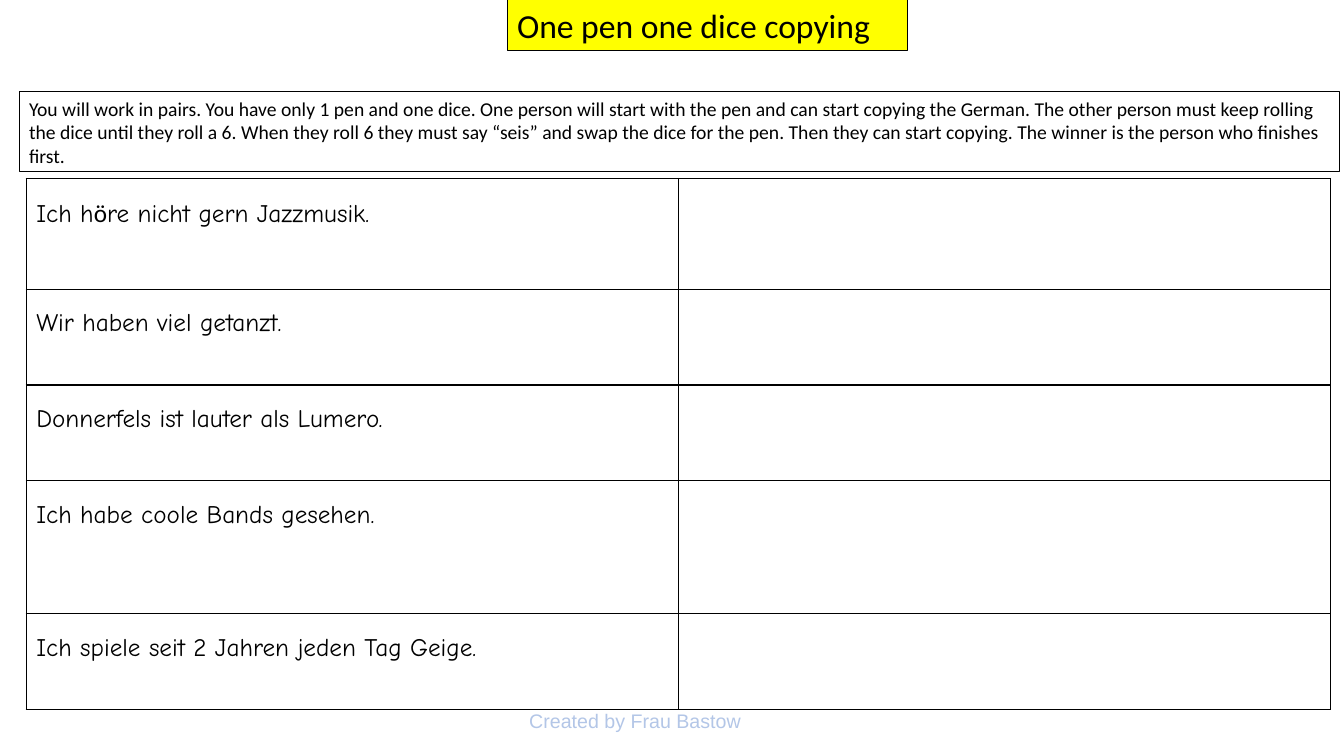
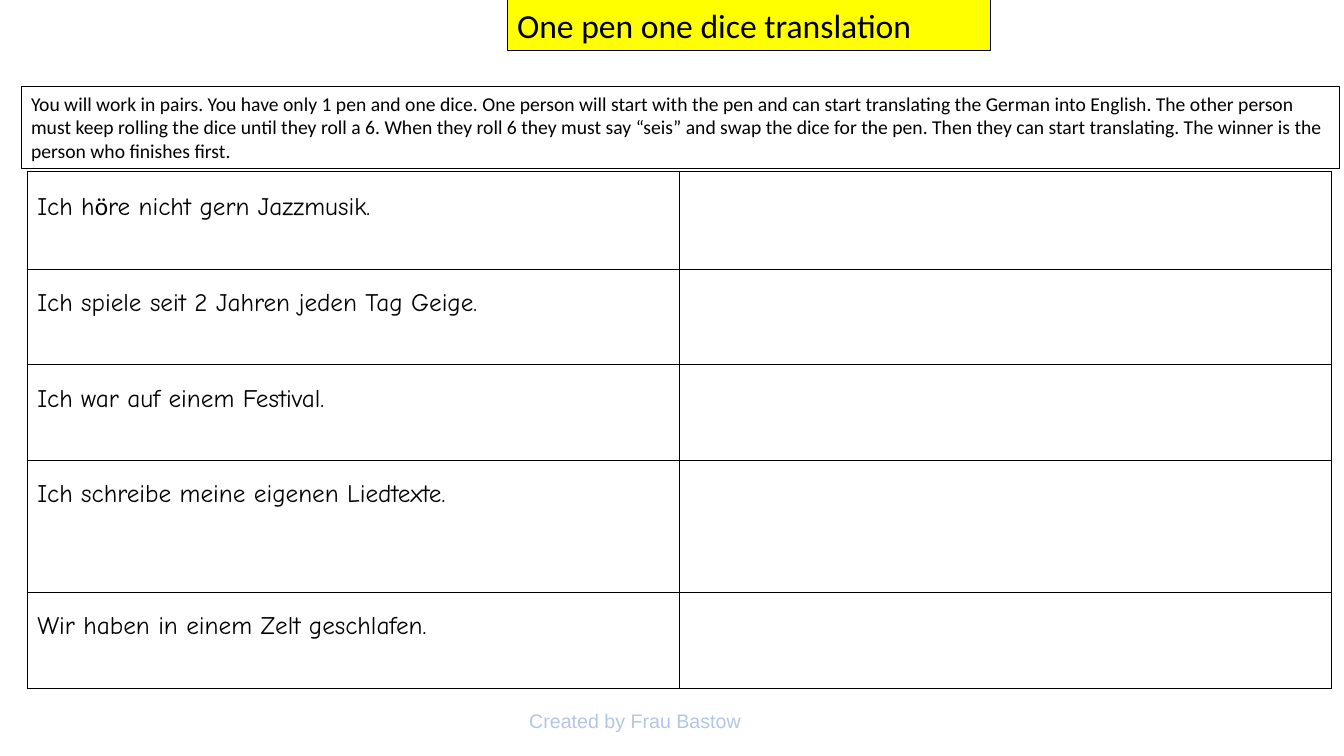
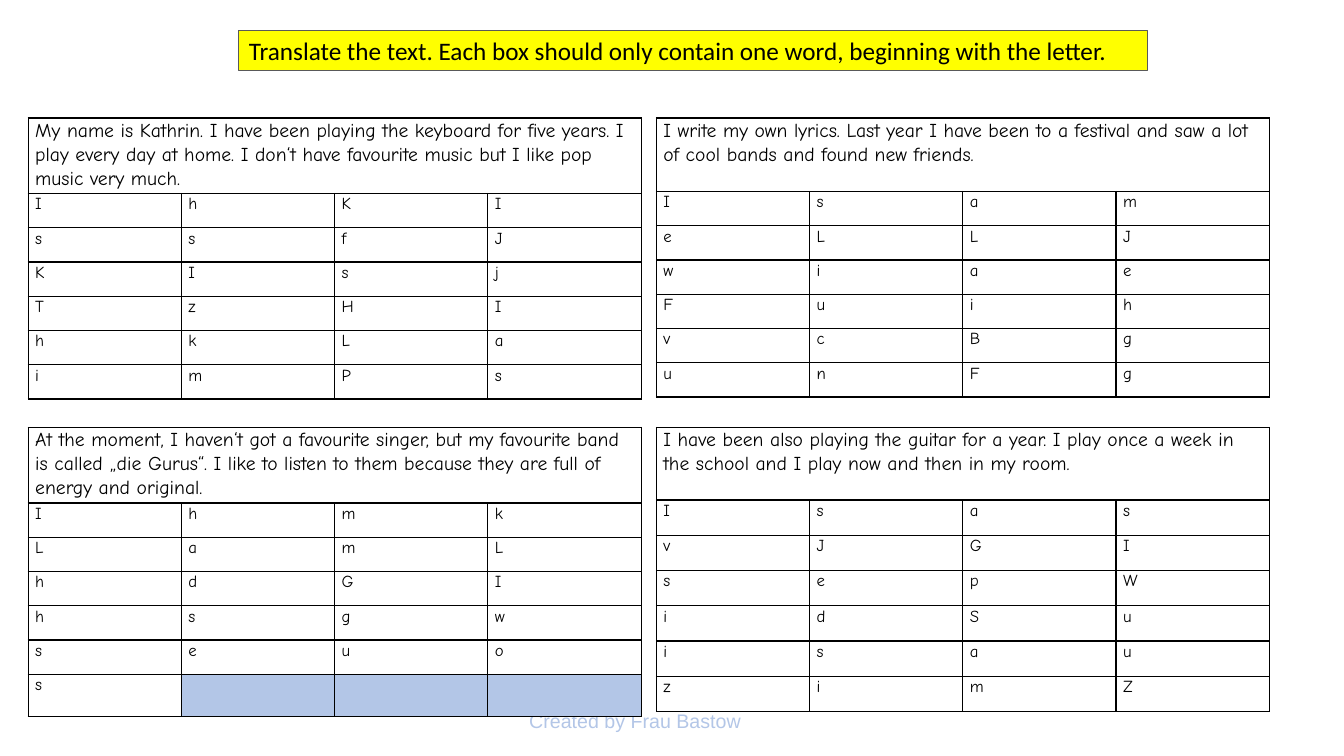
from dataclasses import dataclass

from lxml.etree import fromstring
from pptx import Presentation
from pptx.dml.color import RGBColor
from pptx.enum.shapes import MSO_SHAPE as Shape
from pptx.enum.text import MSO_ANCHOR as Anchor, PP_ALIGN as Align
from pptx.util import Inches, Pt

BLACK, WHITE, YELLOW = "000000", "FFFFFF", "FFFF00"
GREY, BLUE = "595959", "B3C6E7"
PLAIN, HAND = "Calibri", "Comic Neue"
DRAW = "http://schemas.openxmlformats.org/drawingml/2006/main"


@dataclass
class Area:
    left: float
    top: float
    width: float
    height: float

    def inches(self) -> list:
        return [Inches(n) for n in (self.left, self.top, self.width, self.height)]


@dataclass
class Sheet:
    title: str
    width: float
    rules: str
    box: Area
    left: float
    top: float
    rows: list[float]
    lines: list[str]


@dataclass
class Puzzle:
    text: str
    rows: list[float]
    clues: str  # one word per row, one letter per cell


# Shared helpers

def rgb(code: str) -> RGBColor:
    return RGBColor.from_string(code)


def put(frame, text: str, size: float = 18, font: str = PLAIN,
        color: str = BLACK, space: float = 1.0) -> None:
    """Write one paragraph; parts between bars use the plain font."""
    frame.word_wrap = True
    para = frame.paragraphs[0]
    para.alignment = Align.LEFT
    para.line_spacing = space
    for i, part in enumerate(text.split("|")):
        run = para.add_run()
        run.text = part
        run.font.size = Pt(size)
        run.font.name = PLAIN if i % 2 else font
        run.font.color.rgb = rgb(color)


def add_box(slide, area: Area, text: str, size: float,
            fill: str = "", line: str = BLACK) -> None:
    box = slide.shapes.add_shape(Shape.RECTANGLE, *area.inches())
    box.shadow.inherit = False
    if fill:
        box.fill.solid()
        box.fill.fore_color.rgb = rgb(fill)
    else:
        box.fill.background()
    box.line.color.rgb = rgb(line)
    box.line.width = Pt(0.75)
    box.text_frame.vertical_anchor = Anchor.TOP
    put(box.text_frame, text, size)


def add_grid(slide, left: float, top: float, cols: list[float],
             rows: list[float], side: float, edge: float):
    area = Area(left, top, sum(cols), sum(rows))
    table = slide.shapes.add_table(len(rows), len(cols), *area.inches()).table
    table.first_row = table.horz_banding = False
    for col, width in zip(table.columns, cols):
        col.width = Inches(width)
    for row, height in zip(table.rows, rows):
        row.height = Inches(height)
    for cell in table.iter_cells():
        cell.margin_left = cell.margin_right = Inches(side)
        cell.margin_top = cell.margin_bottom = Inches(edge)
        cell.fill.background()
        props = cell._tc.get_or_add_tcPr()
        for i, name in enumerate(("lnL", "lnR", "lnT", "lnB")):
            props.insert(i, fromstring(
                f'<a:{name} xmlns:a="{DRAW}" w="{Pt(1)}"><a:solidFill>'
                f'<a:srgbClr val="{BLACK}"/></a:solidFill></a:{name}>'))
    return table


def new_slide(deck):
    slide = deck.slides.add_slide(deck.slide_layouts[6])
    foot = slide.shapes.add_textbox(*Area(5.15, 6.98, 3.6, 0.34).inches())
    put(foot.text_frame, "Created by Frau Bastow", size=14, font="Arial", color=BLUE)
    return slide


# Slide kinds

def draw_sheet(deck, sheet: Sheet) -> None:
    slide = new_slide(deck)
    add_box(slide, Area(5.03, 0, sheet.width, 0.5), sheet.title, 24, YELLOW)
    add_box(slide, sheet.box, sheet.rules, 14)
    table = add_grid(slide, sheet.left, sheet.top, [6.47] * 2, sheet.rows, 0.1, 0.05)
    for i, line in enumerate(sheet.lines):
        put(table.cell(i, 0).text_frame, line, font=HAND, space=1.5)


def draw_puzzle(slide, puzzle: Puzzle, left: float, top: float) -> None:
    table = add_grid(slide, left, top, [1.52] * 4, puzzle.rows, 0.07, 0)
    head = table.cell(0, 0)
    head.merge(table.cell(0, 3))
    put(head.text_frame, puzzle.text, size=14, font=HAND, space=1.07)
    for i, word in enumerate(puzzle.clues.split(), 1):
        for j in range(4):
            cell = table.cell(i, j)
            cell.fill.solid()
            cell.fill.fore_color.rgb = rgb(WHITE if j < len(word) else BLUE)
            if j < len(word):
                put(cell.text_frame, word[j], size=12, font=HAND, space=1.07)


# Content

RULES = (
    "You will work in pairs. You have only 1 pen and one dice. One person will "
    "start with the pen and can start {0} the German{1}. The other person must "
    "keep rolling the dice until they roll a 6. When they roll 6 they must say "
    "“seis” and swap the dice for the pen. Then they can start {0}. The winner "
    "is the person who finishes first.")
JAZZ = "Ich h|ö|re nicht gern Jazzmusik."
VIOLIN = "Ich spiele seit 2 Jahren jeden Tag Geige."

SHEETS = [
    Sheet("One pen one dice copying", 3.97, RULES.format("copying", ""),
          Area(0.19, 0.91, 13.1, 0.79), 0.26, 1.77, [1.1, 0.95, 0.95, 1.32, 0.95],
          [JAZZ, "Wir haben viel getanzt.", "Donnerfels ist lauter als Lumero.",
           "Ich habe coole Bands gesehen.", VIOLIN]),
    Sheet("One pen one dice translation", 4.79,
          RULES.format("translating", " into English"),
          Area(0.21, 0.86, 13.08, 0.81), 0.27, 1.7, [0.97, 0.95, 0.95, 1.31, 0.95],
          [JAZZ, VIOLIN, "Ich war auf einem Festival.",
           "Ich schreibe meine eigenen Liedtexte.",
           "Wir haben in einem Zelt geschlafen."]),
]

PUZZLES = [
    Puzzle("My name is Kathrin. I have been playing the keyboard for five years. "
           "I play every day at home. I don‘t have favourite music but I like pop "
           "music very much.",
           [0.72] + [0.34] * 6, "IhKI ssfJ KIsj TzHI hkLa imPs"),
    Puzzle("I write my own lyrics. Last year I have been to a festival and saw a "
           "lot of cool bands and found new friends.",
           [0.73] + [0.34] * 6, "Isam eLLJ wiae Fuih vcBg unFg"),
    Puzzle("At the moment, I haven‘t got a favourite singer, but my favourite band "
           "is called „die Gurus“. I like to listen to them because they are full "
           "of energy and original.",
           [0.72] + [0.34] * 5 + [0.42], "Ihmk LamL hdGI hsgw seuo s"),
    Puzzle("I have been also playing the guitar for a year. I play once a week in "
           "the school and I play now and then in my room.",
           [0.72] + [0.35] * 6, "Isas vJGI sepW idSu isau zimZ"),
]


def main() -> None:
    deck = Presentation()
    deck.slide_width, deck.slide_height = Inches(13.33), Inches(7.5)
    for sheet in SHEETS:
        draw_sheet(deck, sheet)

    # Puzzle slide, two by two
    slide = new_slide(deck)
    add_box(slide, Area(2.37, 0.3, 9.01, 0.4),
            "Translate the text. Each box should only contain one word, "
            "beginning with the letter.", 18, YELLOW, GREY)
    for i, puzzle in enumerate(PUZZLES):
        draw_puzzle(slide, puzzle, 0.28 + i % 2 * 6.23, 1.17 + i // 2 * 3.07)
    deck.save("out.pptx")


if __name__ == "__main__":
    main()
